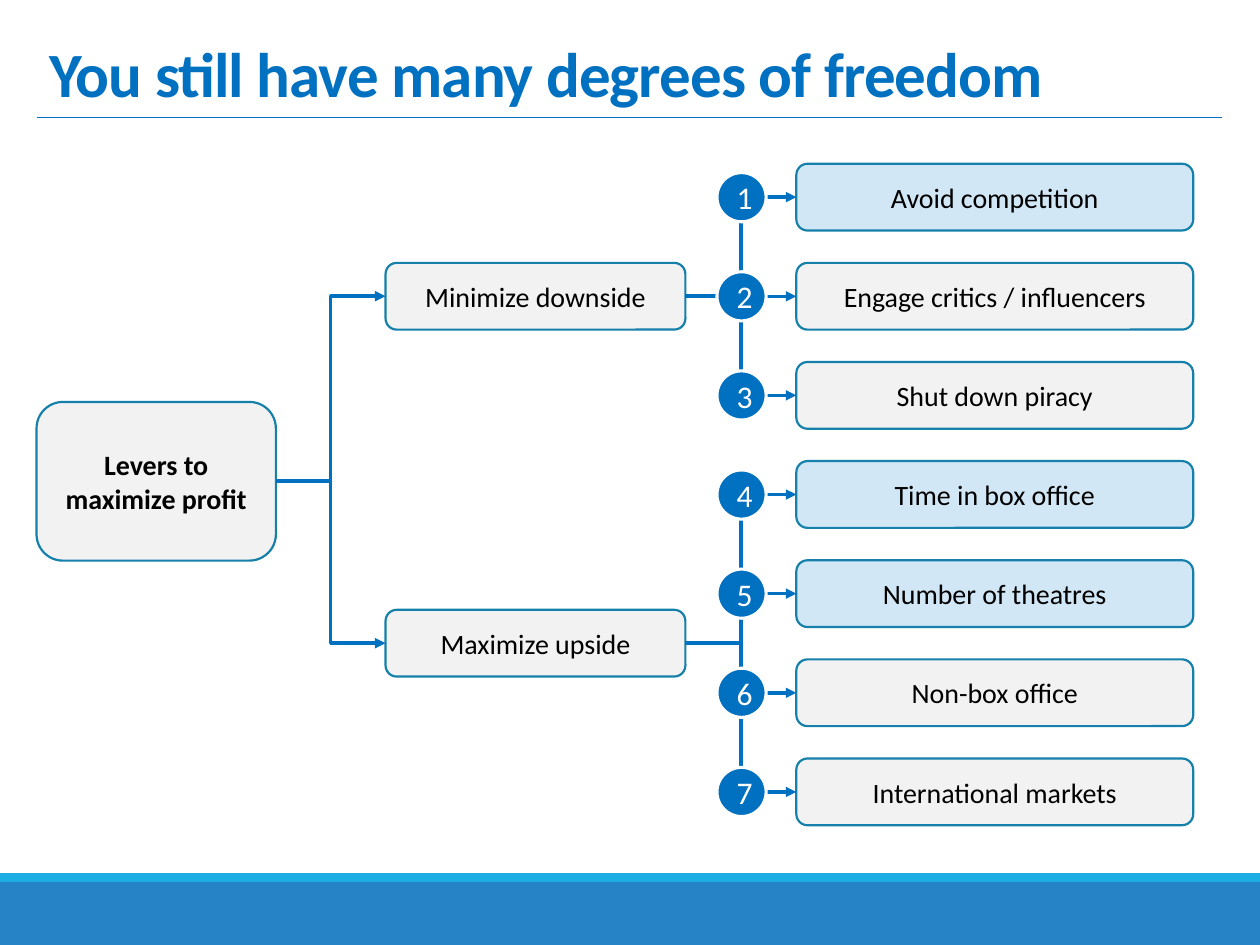
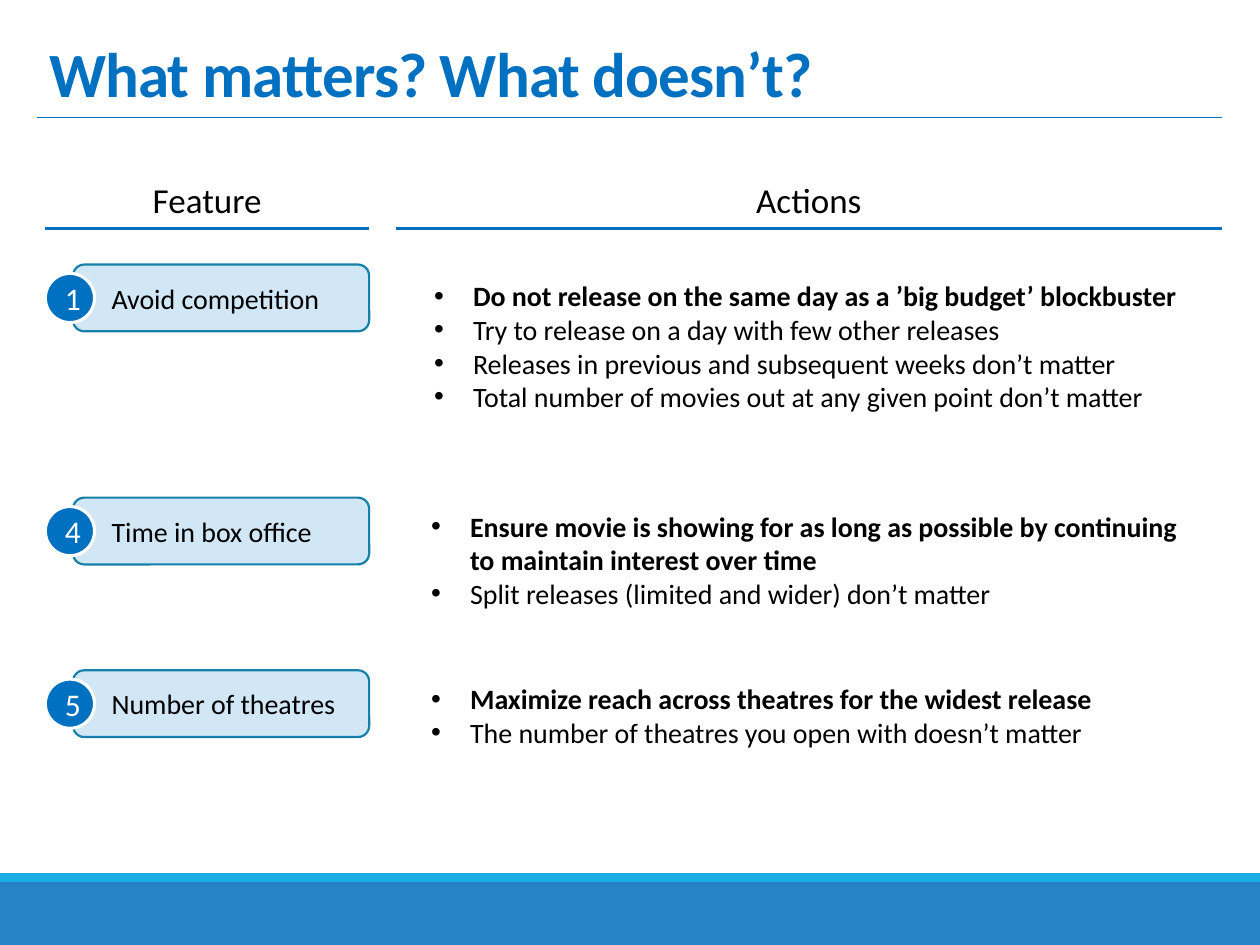
from lxml.etree import SubElement
from pptx import Presentation
from pptx.dml.color import RGBColor
from pptx.enum.shapes import MSO_CONNECTOR, MSO_SHAPE
from pptx.enum.text import MSO_ANCHOR, MSO_AUTO_SIZE, PP_ALIGN
from pptx.oxml.ns import qn
from pptx.util import Inches, Pt

# Shared look
BLUE = RGBColor(0x00, 0x70, 0xC0)
BAND = RGBColor(0x26, 0x83, 0xC6)
BAND_EDGE = RGBColor(0x1C, 0xAD, 0xE4)
OUTLINE = RGBColor(0x15, 0x80, 0xA9)
GREY = RGBColor(0xF2, 0xF2, 0xF2)
HIGHLIGHT = RGBColor(0xD1, 0xE7, 0xF6)
BLACK = RGBColor(0x00, 0x00, 0x00)
WHITE = RGBColor(0xFF, 0xFF, 0xFF)
FONT = "Calibri"

LEFT, RIGHT = 0.29, 9.7
BOX_HEIGHT = 0.53
BADGE = 0.39

# Slide 1: branch, then its levers as (label, highlighted)
BRANCHES = [
    ("Minimize downside", [
        ("Avoid competition", True),
        ("Engage critics / influencers", False),
        ("Shut down piracy", False),
    ]),
    ("Maximize upside", [
        ("Time in box office", True),
        ("Number of theatres", True),
        ("Non-box office", False),
        ("International markets", False),
    ]),
]

# Slide 2: number, feature, top, height of actions, actions (the first is key)
FEATURES = [
    (1, "Avoid competition", 2.1, 1.33, [
        "Do not release on the same day as a ’big budget’ blockbuster",
        "Try to release on a day with few other releases",
        "Releases in previous and subsequent weeks don’t matter",
        "Total number of movies out at any given point don’t matter",
    ]),
    (4, "Time in box office", 3.95, 0.85, [
        "Ensure movie is showing for as long as possible by continuing "
        "to maintain interest over time",
        "Split releases (limited and wider) don’t matter",
    ]),
    (5, "Number of theatres", 5.32, 0.85, [
        "Maximize reach across theatres for the widest release",
        "The number of theatres you open with doesn’t matter",
    ]),
]


def add_text(paragraph, text, size, color=BLACK, bold=False):
    run = paragraph.add_run()
    run.text = text
    font = run.font
    font.name, font.size, font.bold = FONT, Pt(size), bold
    font.color.rgb = color
    return run


def add_panel(slide, kind, box, fill=None, line=None, weight=1.25):
    panel = slide.shapes.add_shape(kind, *map(Inches, box))
    panel.shadow.inherit = False
    if fill is None:
        panel.fill.background()
    else:
        panel.fill.solid()
        panel.fill.fore_color.rgb = fill
    if line is None:
        panel.line.fill.background()
    else:
        panel.line.color.rgb = line
        panel.line.width = Pt(weight)
    return panel


def add_label(slide, box, text, fill=None, line=None, size=16, bold=False):
    label = add_panel(slide, MSO_SHAPE.ROUNDED_RECTANGLE, box, fill, line)
    add_text(label.text_frame.paragraphs[0], text, size, bold=bold)
    return label


def add_badge(slide, left, middle, number):
    box = (left, middle - BADGE / 2, BADGE, BADGE)
    badge = add_panel(slide, MSO_SHAPE.OVAL, box, BLUE, WHITE, 1.75)
    add_text(badge.text_frame.paragraphs[0], str(number), 18, WHITE)


def add_line(slide, start, end, weight, kind=MSO_CONNECTOR.STRAIGHT):
    line = slide.shapes.add_connector(kind, *map(Inches, (*start, *end)))
    line.line.color.rgb = BLUE
    line.line.width = Pt(weight)
    SubElement(line.line._get_or_add_ln().getparent(), qn("a:effectLst"))
    return line


def link(slide, parent, child):
    """Elbow arrow from the right of the parent to the left of the child."""
    arrow = add_line(slide, (0, 0), (1, 1), 2, MSO_CONNECTOR.ELBOW)
    arrow.begin_connect(parent, 3)
    arrow.end_connect(child, 1)
    SubElement(arrow.line._get_or_add_ln(), qn("a:tailEnd"), type="triangle")


def add_titled_slide(prs, title_text):
    slide = prs.slides.add_slide(prs.slide_layouts[5])
    # Footer band and title rule
    for box, color in (((0, 7, 10, 0.5), BAND), ((0, 6.93, 10, 0.07), BAND_EDGE)):
        add_panel(slide, MSO_SHAPE.RECTANGLE, box, color)
    add_line(slide, (LEFT, 0.93), (RIGHT, 0.93), 0.5)
    # Title
    title = slide.shapes.title
    title.left, title.top = Inches(LEFT), Inches(0.31)
    title.width, title.height = Inches(RIGHT - LEFT), Inches(0.62)
    frame = title.text_frame
    frame.auto_size = MSO_AUTO_SIZE.NONE
    frame.vertical_anchor = MSO_ANCHOR.MIDDLE
    paragraph = frame.paragraphs[0]
    paragraph.alignment = PP_ALIGN.LEFT
    paragraph.line_spacing = 0.85
    run = add_text(paragraph, title_text, 36, BLUE, True)
    run.font._element.set("spc", "-50")
    return slide


def add_lever_tree(slide, left, top, height):
    count = sum(len(levers) for _, levers in BRANCHES)
    pitch = (height - BOX_HEIGHT) / (count - 1)
    root = add_label(slide, (left, top + 1.89, 1.9, 1.26),
                     "Levers to maximize profit", GREY, OUTLINE, bold=True)
    badges = []
    for branch_name, levers in BRANCHES:
        # Each branch is centred on its levers
        branch_top = top + pitch * (len(badges) + (len(levers) - 1) / 2)
        branch = add_label(slide, (left + 2.77, branch_top, 2.38, BOX_HEIGHT),
                           branch_name, GREY, OUTLINE)
        link(slide, root, branch)
        for lever_name, highlighted in levers:
            lever_top = top + pitch * len(badges)
            lever = add_label(slide, (left + 6.03, lever_top, 3.15, BOX_HEIGHT),
                              lever_name, HIGHLIGHT if highlighted else GREY, OUTLINE)
            link(slide, branch, lever)
            badges.append(lever_top + BOX_HEIGHT / 2)
    # Badges cover the forks of the connectors
    for number, middle in enumerate(badges, 1):
        add_badge(slide, left + 5.4, middle, number)


def add_column_header(slide, left, width, text):
    add_label(slide, (left, 1.33, width, 0.51), text, size=20)
    add_line(slide, (left, 1.81), (left + width, 1.81), 1.75)


def add_feature(slide, left, top, number, name):
    feature = add_label(slide, (left + 0.22, top, 2.35, BOX_HEIGHT),
                        name, HIGHLIGHT, OUTLINE)
    frame = feature.text_frame
    frame.margin_left, frame.margin_right = Inches(0.28), Inches(0.08)
    frame.paragraphs[0].alignment = PP_ALIGN.LEFT
    add_badge(slide, left, top + BOX_HEIGHT / 2, number)


def add_actions(slide, box, actions):
    panel = add_panel(slide, MSO_SHAPE.ROUNDED_RECTANGLE, box)
    frame = panel.text_frame
    frame.vertical_anchor = MSO_ANCHOR.TOP
    frame.margin_left = Inches(0.24)
    for index, action in enumerate(actions):
        paragraph = frame.add_paragraph() if index else frame.paragraphs[0]
        paragraph.alignment = PP_ALIGN.LEFT
        properties = paragraph._p.get_or_add_pPr()
        properties.set("marL", str(Inches(0.31)))
        properties.set("indent", str(-Inches(0.31)))
        SubElement(properties, qn("a:buFont"), typeface="Arial")
        SubElement(properties, qn("a:buChar"), char="•")
        add_text(paragraph, action, 16, bold=index == 0)


def add_feature_table(slide, feature_left, actions_left):
    actions_width = RIGHT - actions_left
    add_column_header(slide, feature_left, 2.57, "Feature")
    add_column_header(slide, actions_left, actions_width, "Actions")
    for number, name, top, height, actions in FEATURES:
        add_feature(slide, feature_left, top, number, name)
        add_actions(slide, (actions_left, top, actions_width, height), actions)


def main():
    prs = Presentation()
    prs.slide_width, prs.slide_height = Inches(10), Inches(7.5)
    tree_slide = add_titled_slide(prs, "You still have many degrees of freedom")
    add_lever_tree(tree_slide, LEFT, 1.3, 5.25)
    actions_slide = add_titled_slide(prs, "What matters? What doesn’t?")
    add_feature_table(actions_slide, 0.36, 3.14)
    prs.save("out.pptx")


if __name__ == "__main__":
    main()
